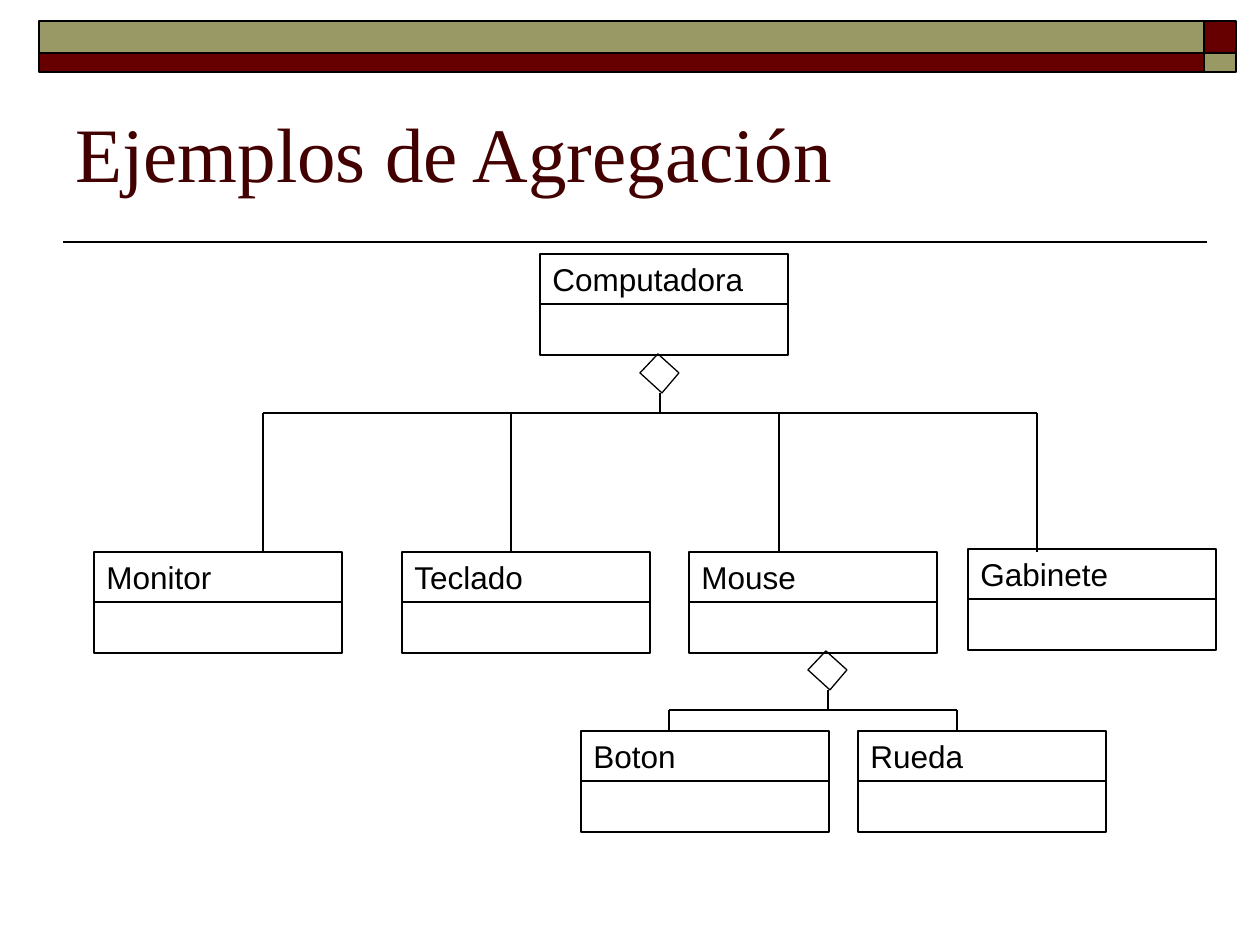
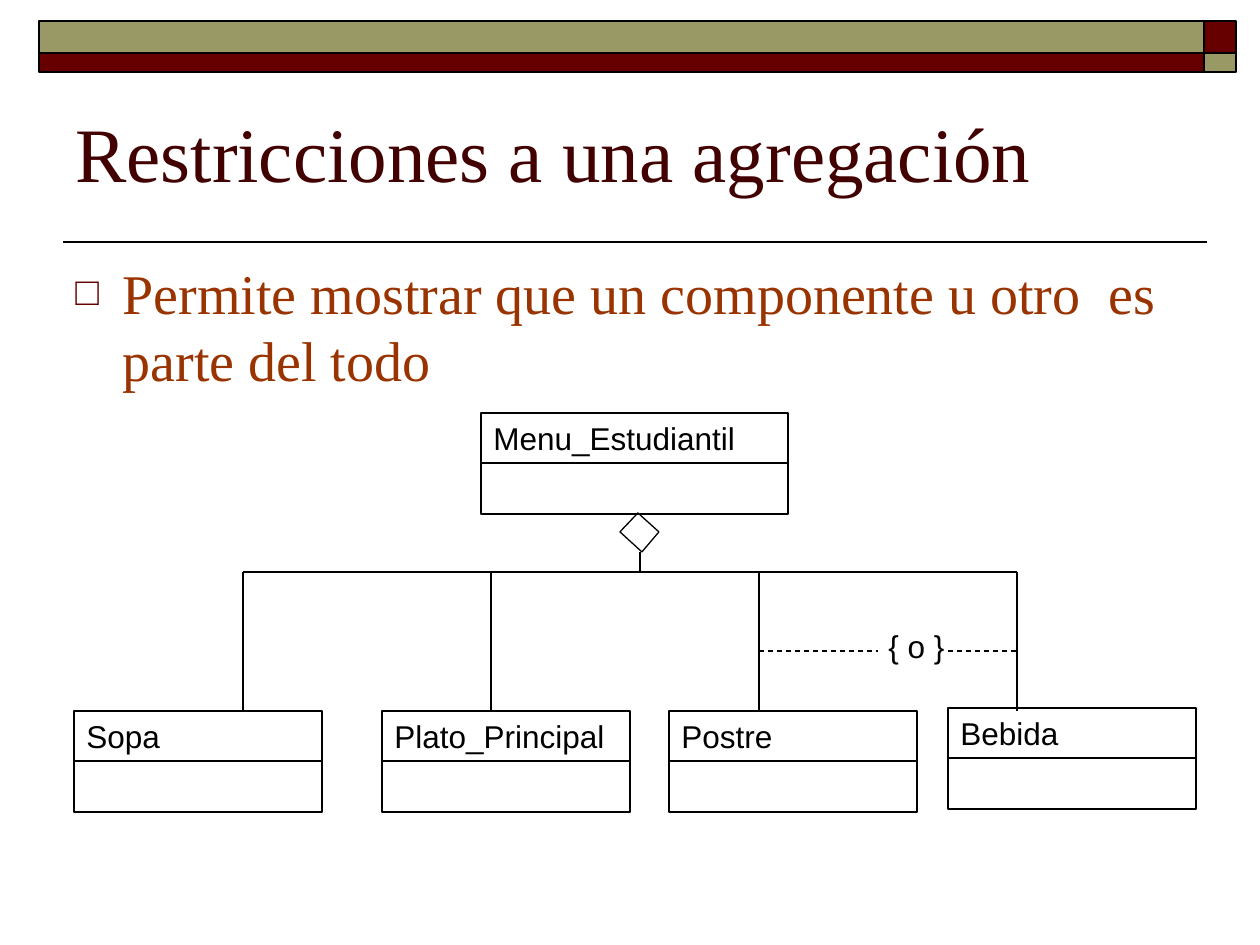
from lxml.etree import SubElement
from pptx import Presentation
from pptx.dml.color import RGBColor
from pptx.enum.dml import MSO_LINE
from pptx.enum.shapes import MSO_CONNECTOR, MSO_SHAPE
from pptx.enum.text import MSO_ANCHOR, PP_ALIGN
from pptx.oxml.ns import qn
from pptx.util import Emu, Pt

UNIT = 914400 / 126
BLACK, WINE, OLIVE = "000000", "660000", "999966"
TITLE, RUST = "420000", "993300"
SERIF, SANS = "Times New Roman", "Arial"
WIDE, HEAD, BODY = 248, 50, 51
STEM = 20
GEM = [(18, 0), (39, 19), (22, 39), (0, 19)]


def px(*sizes):
    """Turn px lengths into EMU."""
    return [Emu(round(size * UNIT)) for size in sizes]


def tint(code):
    """Turn a hex string into a colour."""
    return RGBColor.from_string(code)


def style(shape, fill=None, weight=0.75):
    """Give a shape its fill and black outline."""
    shape.shadow.inherit = False
    if fill:
        shape.fill.solid()
        shape.fill.fore_color.rgb = tint(fill)
    else:
        shape.fill.background()
    shape.line.color.rgb = tint(BLACK)
    shape.line.width = Pt(weight)


def rect(slide, x, y, w, h, **look):
    """Draw a rectangle."""
    shape = slide.shapes.add_shape(MSO_SHAPE.RECTANGLE, *px(x, y, w, h))
    style(shape, **look)
    return shape


def rule(slide, x1, y1, x2, y2, weight=0.75, dash=False):
    """Draw a straight line."""
    line = slide.shapes.add_connector(
        MSO_CONNECTOR.STRAIGHT, *px(x1, y1, x2, y2))
    line.line.color.rgb = tint(BLACK)
    line.line.width = Pt(weight)
    if dash:
        line.line.dash_style = MSO_LINE.DASH
    SubElement(line._element.spPr, qn("a:effectLst"))


def write(shape, words, size=18, font=SANS, color=BLACK,
          anchor=MSO_ANCHOR.TOP):
    """Put formatted text in a shape and return its paragraph."""
    frame = shape.text_frame
    frame.word_wrap = True
    frame.vertical_anchor = anchor
    para = frame.paragraphs[0]
    para.alignment = PP_ALIGN.LEFT
    run = para.add_run()
    run.text = words
    run.font.size = Pt(size)
    run.font.name = font
    run.font.color.rgb = tint(color)
    return para


def label(slide, words, x, y, w, h, **look):
    """Add a text box."""
    return write(slide.shapes.add_textbox(*px(x, y, w, h)), words, **look)


def bullet(para):
    """Give a paragraph a hollow square bullet."""
    para.space_before = Pt(8)
    props = para._p.get_or_add_pPr()
    inch = Emu(342900)
    props.set("marL", str(inch))
    props.set("indent", str(-inch))
    color = SubElement(props, qn("a:buClr"))
    SubElement(color, qn("a:srgbClr"), val=WINE)
    SubElement(props, qn("a:buSzPct"), val="70000")
    SubElement(props, qn("a:buFont"), typeface=SANS)
    SubElement(props, qn("a:buChar"), char="□")


def bands(slide, x, y, w, h):
    """Draw the two-row colour bands in a box."""
    end, top = 32, 32
    for dx, wide, tones in ((0, w - end, (OLIVE, WINE)),
                            (w - end, end, (WINE, OLIVE))):
        for dy, high, tone in zip((0, top), (top, h - top), tones):
            rect(slide, x + dx, y + dy, wide, high, fill=tone, weight=1)


def page(deck, title):
    """Add a slide with bands, title and rule."""
    slide = deck.slides.add_slide(deck.slide_layouts[6])
    rule(slide, 1207, 242, 63, 242, weight=1)
    bands(slide, 39, 21, 1197, 51)
    label(slide, title, 63, 73, 1134, 157, size=44, font=SERIF,
          color=TITLE, anchor=MSO_ANCHOR.MIDDLE)
    return slide


def entity(slide, name, x, y, w=WIDE):
    """Draw a class box with a name and an empty body."""
    write(rect(slide, x, y, w, HEAD), name)
    rect(slide, x, y + HEAD, w, BODY)


def fork(slide, x, y, stops, drop):
    """Draw a diamond with a stem, a bus and its drops."""
    (left, top), *rest = [(x + dx, y + dy) for dx, dy in GEM]
    pen = slide.shapes.build_freeform(left, top, scale=UNIT)
    pen.add_line_segments(rest, close=True)
    style(pen.convert_to_shape())
    low = y + 39
    bus = low + STEM
    rule(slide, x + 20, low, x + 20, bus)
    rule(slide, stops[0], bus, stops[-1], bus)
    for stop in stops:
        rule(slide, stop, bus, stop, bus + drop)


def tree(slide, x, y, root, parts, shift=446, w=WIDE):
    """Draw a whole above its four parts."""
    entity(slide, root, x + shift, y, w)
    for name, dx, dy in zip(parts, (0, 308, 595, 874), (298, 298, 298, 295)):
        entity(slide, name, x + dx, y + dy)
    stops = [x + dx for dx in (169, 417, 685, 943)]
    fork(slide, x + 546, y + 100, stops, 139)


def branch(slide, x, y, parts):
    """Draw the two parts under a class box."""
    fork(slide, x + 119, y + 99, (x - 20, x + 268), STEM)
    for name, dx in zip(parts, (-108, 169)):
        entity(slide, name, x + dx, y + 179)


def choice(slide, x, y):
    """Mark two drops of a tree as alternatives."""
    for start, end in ((0, 119), (189, 258)):
        rule(slide, x + start, y, x + end, y, dash=True)
    label(slide, "{ o }", x + 117, y - 30, 92, 50)


def main():
    """Build both slides and save them."""
    deck = Presentation()
    deck.slide_width, deck.slide_height = px(1260, 945)

    slide = page(deck, "Ejemplos de Agregación")
    tree(slide, 94, 254, "Computadora",
         ("Monitor", "Teclado", "Mouse", "Gabinete"))
    branch(slide, 689, 552, ("Boton", "Rueda"))

    slide = page(deck, "Restricciones a una agregación")
    bullet(label(slide, "Permite mostrar que un componente u otro  es "
                 "parte del todo", 63, 252, 1134, 592,
                 size=32, font=SERIF, color=RUST))
    tree(slide, 74, 413, "Menu_Estudiantil",
         ("Sopa", "Plato_Principal", "Postre", "Bebida"), shift=407, w=307)
    choice(slide, 759, 651)

    deck.save("out.pptx")


if __name__ == "__main__":
    main()
